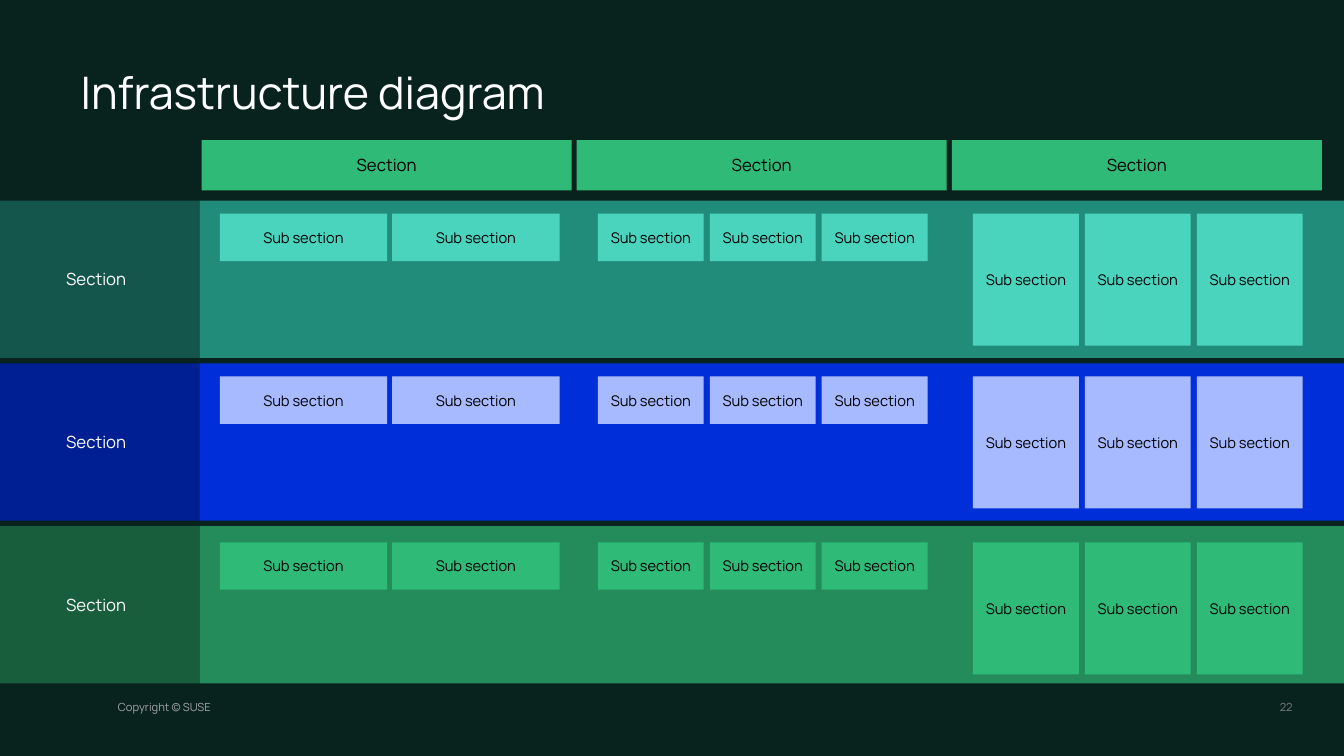
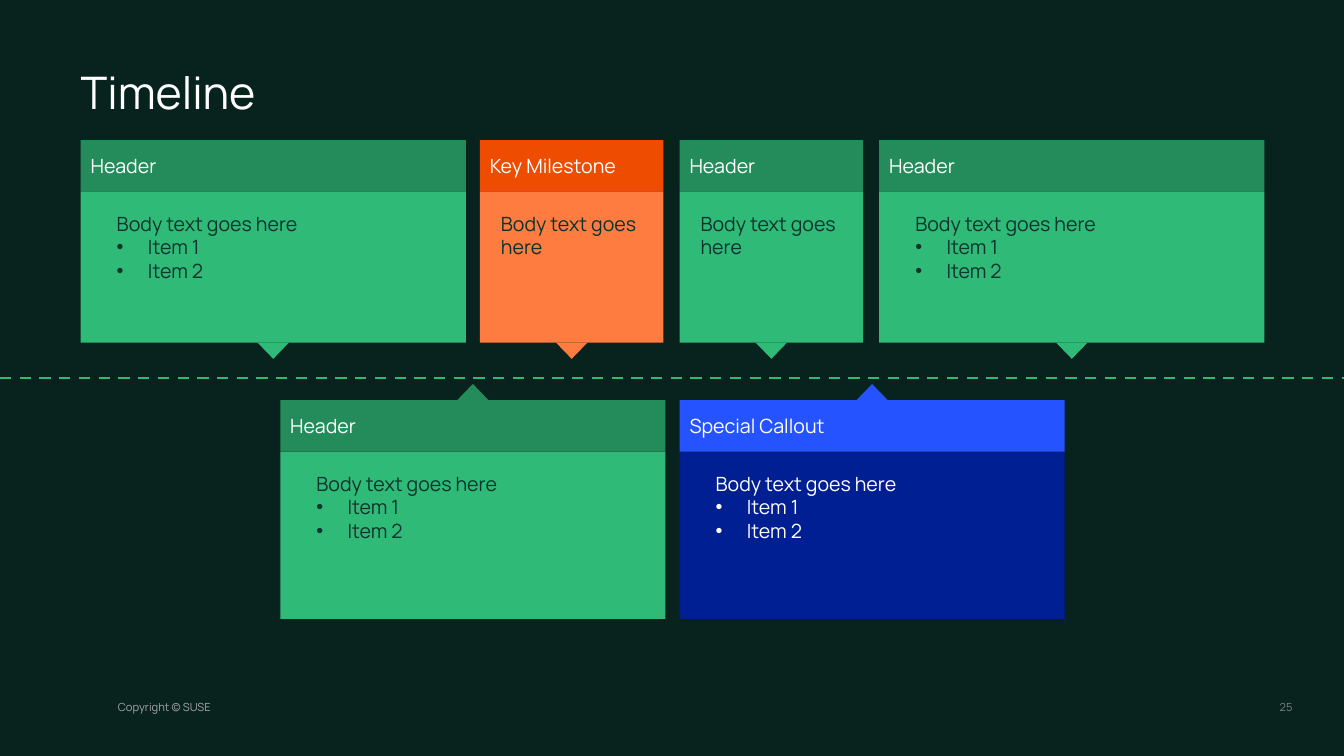
"""Build an infrastructure diagram and a timeline on a shared dark style."""
from lxml.etree import SubElement as Sub
from pptx import Presentation
from pptx.dml.color import RGBColor as RGB
from pptx.enum.dml import MSO_LINE as Dash
from pptx.enum.shapes import MSO_CONNECTOR as Link, MSO_SHAPE as Kind
from pptx.enum.text import MSO_ANCHOR as Anchor, MSO_AUTO_SIZE as Fit, PP_ALIGN as Align
from pptx.oxml.ns import qn
from pptx.util import Inches, Pt

WIDE, HIGH = 13.33, 7.5
FONT = "Manrope"
HUES = {
    "night": "08221E", "white": "FFFFFF", "black": "000000", "ink": "0C322C",
    "foot": "A6A6A6", "page": "808080",
    "green": "30BA78", "leaf": "248C5A", "moss": "185D3C",
    "mint": "4AD4BE", "teal": "228C7B", "pine": "15564C",
    "lilac": "A7BAFF", "blue": "002FDA", "navy": "001F92", "azure": "2453FF",
    "peach": "FE7C3F", "rust": "ED4C01",
}

LEFT, TOP, BAR = 0.8, 1.39, 0.51
HEAD_X, HEAD_W, HEAD_GAP = 2, 3.67, 0.05
ROW_Y, ROW_H, ROW_STEP, SIDE = 1.99, 1.56, 1.615, 1.98
ROWS = [("pine", "teal", "mint", 0.13), ("navy", "blue", "lilac", 0.13),
        ("moss", "leaf", "green", 0.16)]
CELLS = [(2.18, 2, 1.66, 0.47, 0.05), (5.93, 3, 1.05, 0.47, 0.06),
         (9.65, 3, 1.05, 1.31, 0.06)]

COL = 1.98
LOW, BODY, LOW_BODY = 3.97, 1.5, 1.66
TIP_W, TIP_H = 0.31, 0.16
ITEMS = ["Item 1", "Item 2"]
CARDS = [
    (0, 2, False, "Header", "leaf", "green", "ink"),
    (1, 2, True, "Header", "leaf", "green", "ink"),
    (2, 1, False, "Key Milestone", "rust", "peach", "ink"),
    (3, 2, True, "Special Callout", "azure", "navy", "white"),
    (4, 2, False, "Header", "leaf", "green", "ink"),
    (3, 1, False, "Header", "leaf", "green", "ink"),
]


def hue(name):
    """Return a named colour."""
    return RGB.from_string(HUES[name])


def put(thing, looks):
    """Set each attribute in a dict of format values."""
    for key, val in looks.items():
        setattr(thing, key, val)


def dot(para):
    """Give a paragraph a hanging bullet."""
    props = para._p.get_or_add_pPr()
    props.set("marL", str(Inches(0.31)))
    props.set("indent", str(-Inches(0.31)))
    Sub(props, qn("a:buFont"), typeface="Arial")
    Sub(props, qn("a:buChar"), char="•")


def write(frame, lines, size, tint, align=Align.LEFT, **looks):
    """Fill a frame with a first line and any bulleted lines after it."""
    put(frame, {"word_wrap": True, **looks})
    for i, line in enumerate(lines):
        para = frame.add_paragraph() if i else frame.paragraphs[0]
        if i:
            dot(para)
        para.alignment = align
        run = para.add_run()
        run.text = line
        put(run.font, {"name": FONT, "size": Pt(size)})
        run.font.color.rgb = hue(tint)


def shape(tree, box, fill, kind=Kind.RECTANGLE):
    """Add a flat filled shape."""
    item = tree.add_shape(kind, *map(Inches, box))
    item.shadow.inherit = False
    item.fill.solid()
    item.fill.fore_color.rgb = hue(fill)
    item.line.fill.background()
    return item


def label(tree, box, fill, text, size, tint, align=Align.CENTER, **looks):
    """Add a filled box with one line of text in its middle."""
    write(shape(tree, box, fill).text_frame, [text], size, tint, align,
          vertical_anchor=Anchor.MIDDLE, **looks)


def note(tree, box, lines, size, tint, align=Align.LEFT, **looks):
    """Add a text box that grows with its text."""
    frame = tree.add_textbox(*map(Inches, box)).text_frame
    write(frame, lines, size, tint, align,
          auto_size=Fit.SHAPE_TO_FIT_TEXT, **looks)
    return frame


def start(deck, title, page):
    """Add a slide with its title, footer and page number."""
    tree = deck.slides.add_slide(deck.slide_layouts[6]).shapes
    bare = dict.fromkeys(
        ("margin_left", "margin_right", "margin_top", "margin_bottom"), 0)
    note(tree, (1.17, 6.95, 1.35, 0.13), ["Copyright © SUSE"], 8, "foot", **bare)
    head = note(tree, (LEFT, 0.69, WIDE - 2 * LEFT, 0.5), [title], 32, "white",
                vertical_anchor=Anchor.MIDDLE, **bare)
    put(head.paragraphs[0], {"line_spacing": 0.9, "space_after": Pt(10)})
    note(tree, (12.5, 6.95, 0.32, 0.13), [page], 8, "page", Align.RIGHT, **bare)
    return tree


def band(tree, top, side, back, fill, drop):
    """Add one row of the diagram with its sub sections."""
    label(tree, (0, top, SIDE, ROW_H), side, "Section", 12, "white",
          margin_right=Inches(0.17))
    shape(tree, (SIDE, top, WIDE - SIDE, ROW_H), back)
    for left, count, wide, high, gap in CELLS:
        for i in range(count):
            box = (left + i * (wide + gap), top + drop, wide, high)
            label(tree, box, fill, "Sub section", 10.5, "black")


def card(tree, col, span, low, head, bar, fill, tint):
    """Add a grouped card whose tip points at the time line."""
    group = tree.add_group_shape().shapes
    left, wide = LEFT + col * COL, 2 * span - 0.18
    top, high = (LOW, LOW_BODY) if low else (TOP, BODY)
    pad = 0.26 if span > 1 else 0.11
    shape(group, (left, top + BAR, wide, high), fill)
    label(group, (left, top, wide, BAR), bar, head, 14, "white", Align.LEFT)
    lines = ["Body text goes here"] + (ITEMS if span > 1 else [])
    note(group, (left + pad, top + BAR + 0.15, wide - 2 * pad,
                 0.86 if span > 1 else 0.57), lines, 14, tint)
    edge = top - TIP_H if low else top + BAR + high
    tip = shape(group, (left + (wide - TIP_W) / 2, edge, TIP_W, TIP_H),
                bar if low else fill, Kind.ISOSCELES_TRIANGLE)
    tip.rotation = 0 if low else 180


def axis(tree):
    """Draw the dashed time line across the slide."""
    ends = (0, HIGH / 2, WIDE, HIGH / 2)
    rule = tree.add_connector(Link.STRAIGHT, *map(Inches, ends))
    put(rule.line, {"width": Pt(2), "dash_style": Dash.DASH})
    rule.line.color.rgb = hue("green")
    Sub(rule._element.spPr, qn("a:effectLst"))


def main():
    """Build and save the deck."""
    deck = Presentation()
    put(deck, {"slide_width": Inches(WIDE), "slide_height": Inches(HIGH)})
    back = deck.slide_master.background.fill
    back.solid()
    back.fore_color.rgb = hue("night")

    tree = start(deck, "Infrastructure diagram", "22")
    for i in range(3):
        box = (HEAD_X + i * (HEAD_W + HEAD_GAP), TOP, HEAD_W, 0.5)
        label(tree, box, "green", "Section", 12, "black")
    for i, row in enumerate(ROWS):
        band(tree, ROW_Y + i * ROW_STEP, *row)

    tree = start(deck, "Timeline", "25")
    axis(tree)
    for item in CARDS:
        card(tree, *item)
    deck.save("out.pptx")


if __name__ == "__main__":
    main()
